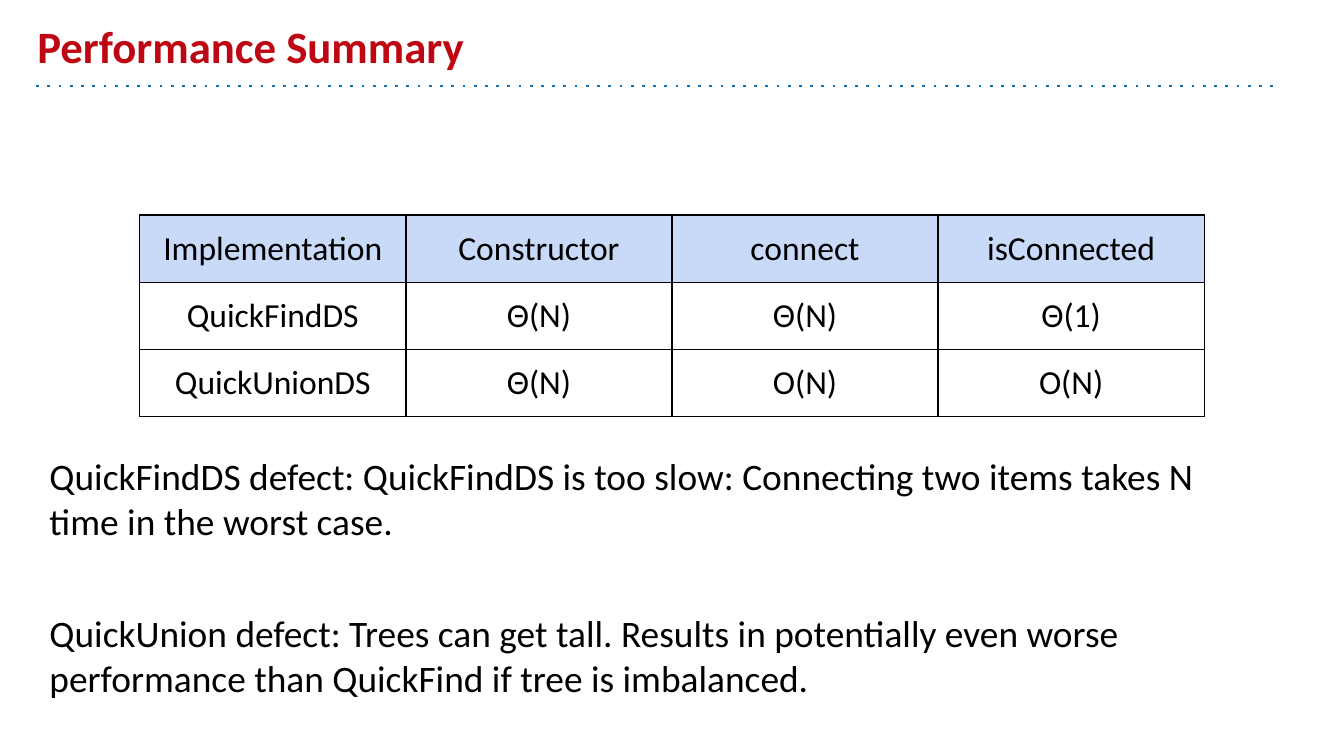
from lxml.etree import SubElement
from pptx import Presentation
from pptx.dml.color import RGBColor
from pptx.enum.shapes import MSO_CONNECTOR
from pptx.enum.text import MSO_ANCHOR, PP_ALIGN
from pptx.oxml.ns import qn
from pptx.util import Inches, Pt

WIDTH = 10
HEIGHT = WIDTH * 9 / 16
FONT = "Calibri"
BLACK, RED, BLUE, HEADER_FILL = "000000", "BE0712", "1072BD", "C9DAF8"
INSET = Inches(0.1)
LEFT = 0.27
COLUMN, ROW = 1.98, 0.42

COMPLEXITIES = [
    ["Implementation", "Constructor", "connect", "isConnected"],
    ["QuickFindDS", "Θ(N)", "Θ(N)", "Θ(1)"],
    ["QuickUnionDS", "Θ(N)", "O(N)", "O(N)"],
]
DEFECTS = [
    "QuickFindDS defect: QuickFindDS is too slow: Connecting two items takes N "
    "time in the worst case.",
    "QuickUnion defect: Trees can get tall. Results in potentially even worse "
    "performance than QuickFind if tree is imbalanced.",
]


def color(hex_string):
    """Turn a hex string into a colour."""
    return RGBColor.from_string(hex_string)


def add_span(para, text, size, hex_string=BLACK, bold=False):
    """Add one styled run to a paragraph."""
    span = para.add_run()
    span.text = text
    span.font.name = FONT
    span.font.size = Pt(size)
    span.font.bold = bold
    span.font.color.rgb = color(hex_string)


def set_insets(target):
    """Give a text frame or a cell equal margins."""
    target.margin_left = target.margin_right = INSET
    target.margin_top = target.margin_bottom = INSET


def add_text(page, frame, texts, size, hex_string=BLACK, bold=False,
             anchor=MSO_ANCHOR.TOP, gap=0):
    """Add a text box with one paragraph per text, set apart by gap points."""
    box = page.shapes.add_textbox(*map(Inches, frame)).text_frame
    box.word_wrap = True
    box.vertical_anchor = anchor
    set_insets(box)
    for index, text in enumerate(texts):
        para = box.add_paragraph() if index else box.paragraphs[0]
        para.space_before = Pt(gap if index else 0)
        add_span(para, text, size, hex_string, bold)


def add_dotted_rule(page, left, right, top):
    """Draw the dotted line below the title."""
    ends = map(Inches, (left, top, right, top))
    rule = page.shapes.add_connector(MSO_CONNECTOR.STRAIGHT, *ends)
    rule.line.color.rgb = color(BLUE)
    rule.line.width = Pt(1.5)
    SubElement(rule.line._get_or_add_ln(), qn("a:prstDash"), val="dot")
    SubElement(rule._element.spPr, qn("a:effectLst"))


def set_borders(cell, hex_string, width):
    """Draw all four borders of a cell."""
    properties = cell._tc.get_or_add_tcPr()
    for side in ("lnL", "lnR", "lnT", "lnB"):
        border = SubElement(properties, qn(f"a:{side}"), w=str(Pt(width)))
        fill = SubElement(border, qn("a:solidFill"))
        SubElement(fill, qn("a:srgbClr"), val=hex_string)


def fill_cell(cell, text, is_header):
    """Write and style one table cell."""
    set_insets(cell)
    set_borders(cell, BLACK, 0.75)
    if is_header:
        cell.fill.solid()
        cell.fill.fore_color.rgb = color(HEADER_FILL)
    else:
        cell.fill.background()
    para = cell.text_frame.paragraphs[0]
    para.alignment = PP_ALIGN.CENTER
    add_span(para, text, 18)


def add_grid(page, left, top, rows):
    """Add a table of equal columns and rows with a tinted header."""
    row_count, column_count = len(rows), len(rows[0])
    frame = (left, top, column_count * COLUMN, row_count * ROW)
    table = page.shapes.add_table(row_count, column_count, *map(Inches, frame)).table
    for row_index, row in enumerate(rows):
        for column_index, text in enumerate(row):
            fill_cell(table.cell(row_index, column_index), text, row_index == 0)


def main():
    """Build the performance summary slide."""
    deck = Presentation()
    deck.slide_width, deck.slide_height = Inches(WIDTH), Inches(HEIGHT)
    page = deck.slides.add_slide(deck.slide_layouts[6])
    right = 0.95 * WIDTH
    add_dotted_rule(page, LEFT, right, 0.64)
    add_text(page, (0.18, 0.1, 0.9 * WIDTH, 0.54), ["Performance Summary"], 24,
             RED, bold=True, anchor=MSO_ANCHOR.BOTTOM)
    add_text(page, (LEFT, 3.27, right - LEFT, 1.88), DEFECTS, 20, gap=36.4)
    add_grid(page, (WIDTH - 4 * COLUMN) / 2, 1.6, COMPLEXITIES)
    deck.save("out.pptx")


if __name__ == "__main__":
    main()
